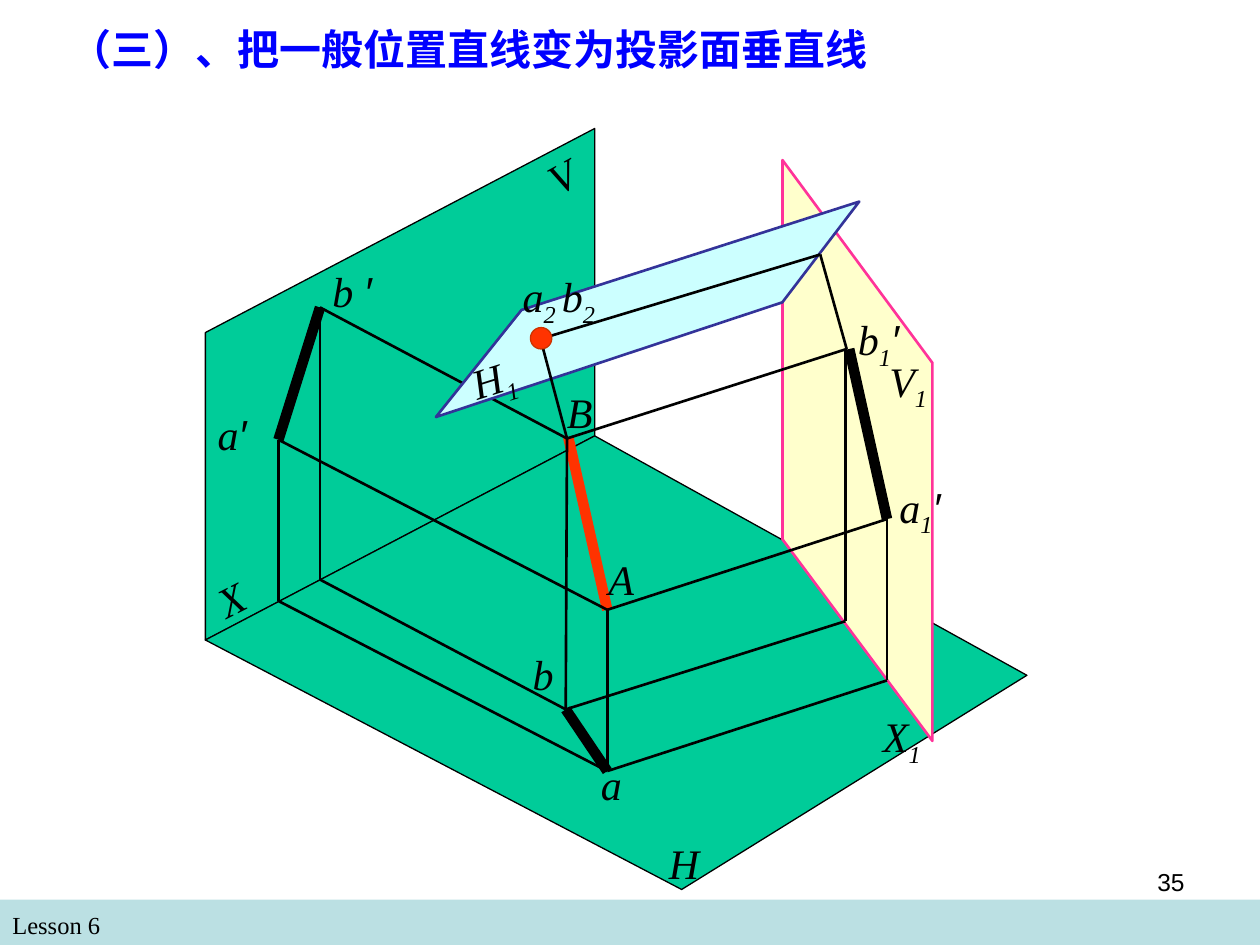
import pptx
import pptx.util
import pptx.dml.color
import pptx.enum.shapes
import pptx.enum.text
import pptx.oxml.ns
from lxml import etree

Inches = pptx.util.Inches
Pt = pptx.util.Pt
RGB = pptx.dml.color.RGBColor
Align = pptx.enum.text.PP_ALIGN
Form = pptx.enum.shapes.MSO_SHAPE
qn = pptx.oxml.ns.qn

BLACK = RGB(0x00, 0x00, 0x00)
BLUE = RGB(0x00, 0x00, 0xFF)
GREEN = RGB(0x00, 0xCC, 0x99)
RED = RGB(0xFF, 0x33, 0x00)
RUST = RGB(0xCC, 0x33, 0x00)
CREAM = RGB(0xFF, 0xFF, 0xCC)
PINK = RGB(0xFF, 0x33, 0x99)
AQUA = RGB(0xCC, 0xFF, 0xFF)
NAVY = RGB(0x33, 0x33, 0x99)
BAND = RGB(0xBB, 0xE0, 0xE3)

SERIF = "Times New Roman"
SANS = "Arial"
HAN = "Noto Sans CJK SC"
THIN, MID, THICK = 0.75, 1.5, 6
PRIME = ("′", SANS, 0)


def sub(text):
    return (text, SERIF, -25)


def main_run(text):
    return (text, SERIF, 0)


class Board:
    def __init__(self, deck):
        self.slide = deck.slides.add_slide(deck.slide_layouts[5])
        self.shapes = self.slide.shapes

    def paint(self, shape, fill, line=None, width=THIN):
        shape.shadow.inherit = False
        shape.fill.solid()
        shape.fill.fore_color.rgb = fill
        if line is None:
            shape.line.fill.background()
        else:
            shape.line.color.rgb = line
            shape.line.width = Pt(width)

    def shape(self, form, x, y, w, h, fill, line=None):
        item = self.shapes.add_shape(form, Inches(x), Inches(y), Inches(w), Inches(h))
        self.paint(item, fill, line)

    def plane(self, points, fill, line, width):
        start, *rest = [(Inches(x), Inches(y)) for x, y in points]
        pen = self.shapes.build_freeform(*start)
        pen.add_line_segments(rest, close=True)
        self.paint(pen.convert_to_shape(), fill, line, width)

    def line(self, start, end, width=MID, color=BLACK):
        item = self.shapes.add_connector(
            pptx.enum.shapes.MSO_CONNECTOR.STRAIGHT,
            *[Inches(v) for v in (*start, *end)])
        item.line.color.rgb = color
        item.line.width = Pt(width)
        etree.SubElement(item._element.spPr, qn("a:effectLst"))

    def run(self, para, text, face, size, color=BLACK):
        run = para.add_run()
        run.text = text
        run.font.name = face
        run.font.size = Pt(size)
        run.font.color.rgb = color
        return run

    def text(self, x, y, w, h, align=Align.LEFT):
        box = self.shapes.add_textbox(Inches(x), Inches(y), Inches(w), Inches(h))
        box.text_frame.word_wrap = True
        para = box.text_frame.paragraphs[0]
        para.alignment = align
        return box, para

    def label(self, x, y, w, *runs, turn=0):
        tall = 0.56 if any(base for _, _, base in runs) else 0.5
        box, para = self.text(x, y, w, tall)
        box.rotation = turn
        for text, face, base in runs:
            run = self.run(para, text, face, 24)
            run.font.italic = True
            if base:
                run.font._element.set("baseline", str(base * 1000))

    def title(self, text, x, y, w, h):
        box = self.shapes.title
        box.left, box.top, box.width, box.height = [Inches(v) for v in (x, y, w, h)]
        frame = box.text_frame
        frame.word_wrap = False
        frame.auto_size = pptx.enum.text.MSO_AUTO_SIZE.NONE
        frame.vertical_anchor = pptx.enum.text.MSO_ANCHOR.TOP
        para = frame.paragraphs[0]
        para.alignment = Align.LEFT
        run = self.run(para, text, HAN, 24, BLUE)
        run.font.bold = True
        east = etree.Element(qn("a:ea"), typeface=HAN)
        run.font._element.find(qn("a:latin")).addnext(east)


def main():
    deck = pptx.Presentation()
    deck.slide_width, deck.slide_height = Inches(10), Inches(7.5)
    board = Board(deck)

    board.title("（三）、把一般位置直线变为投影面垂直线", 0.45, 0.14, 6.62, 0.5)
    board.shape(Form.RECTANGLE, 0, 7.14, 10, 0.36, BAND)
    _, para = board.text(0, 7.17, 4.83, 0.34)
    board.run(para, "Lesson 6", SERIF, 14)

    a, b = (4.82, 6.12), (4.49, 5.63)
    top_a, top_b = (4.82, 4.84), (4.5, 3.48)
    a_v, b_v = (2.21, 3.49), (2.54, 2.44)
    a_x, b_x = (2.21, 4.77), (2.54, 4.6)
    a_v1, b_v1 = (7.04, 4.12), (6.72, 2.77)
    a_x1, b_x1 = (7.04, 5.4), (6.71, 4.93)
    dot, fold = (4.29, 2.69), (6.51, 2.02)
    back, front = (4.72, 3.46), (1.63, 5.08)

    board.plane([(4.72, 1.02), back, front, (1.63, 2.64)], GREEN, BLACK, THIN)
    board.plane([back, (8.15, 5.36), (5.41, 7.06), front], GREEN, BLACK, THIN)
    board.line(top_a, (4.51, 3.47), THICK, RED)
    for start, end in ((top_a, a), (a_x, a), (a_v, top_a), (top_b, b),
                       (b_x, b), (b_v, b_x), (a_x, a_v), (b_v, top_b)):
        board.line(start, end)
    board.line(a_v, b_v, THICK)
    board.line(b, a, THICK)

    board.label(1.62, 4.46, 0.6, main_run("X"), turn=333)
    board.label(4.25, 1.12, 0.5, main_run("V"), turn=331.2)
    for text, x, y in (("H", 5.21, 6.6), ("A", 4.73, 4.34), ("a", 4.67, 5.97),
                       ("b", 4.13, 5.1), ("B", 4.4, 3.02)):
        board.label(x, y, 0.5, main_run(text))
    board.label(1.63, 3.19, 0.8, main_run("a"), PRIME)
    board.label(2.54, 2.06, 0.72, main_run("b "), PRIME)

    board.plane([(7.4, 5.88), (6.21, 4.28), (6.21, 1.27), (7.4, 2.88)],
                CREAM, PINK, MID)
    board.label(6.96, 2.77, 0.87, main_run("V"), sub("1"))
    board.label(6.91, 5.59, 1, main_run("X"), sub("1"))

    board.plane([(6.21, 2.4), (6.82, 1.6), (4.14, 2.46), (3.46, 3.31)],
                AQUA, NAVY, MID)
    board.label(3.65, 2.74, 0.62, main_run("H"), sub("1"), turn=342.4)

    board.line(dot, fold)
    board.label(4.05, 2.1, 1.25, main_run("a"), sub("2 "), main_run("b"), sub("2"))
    board.line(b_v1, fold)
    board.line(top_b, dot)
    board.shape(Form.OVAL, 4.21, 2.6, 0.17, 0.17, RED, RUST)

    board.line(a_v1, (6.74, 2.77), THICK)
    for start, end in ((top_b, b_v1), (a, a_x1), (top_a, a_v1), (b, b_x1),
                       ((6.71, 2.77), b_x1), (a_v1, a_x1)):
        board.line(start, end)
    board.label(7.04, 3.77, 0.62, main_run("a"), sub("1"), PRIME)
    board.label(6.71, 2.44, 0.62, main_run("b"), sub("1"), PRIME)

    _, para = board.text(7.17, 6.83, 2.33, 0.52, Align.RIGHT)
    board.run(para, "35", SANS, 14)
    deck.save("out.pptx")


if __name__ == "__main__":
    main()
